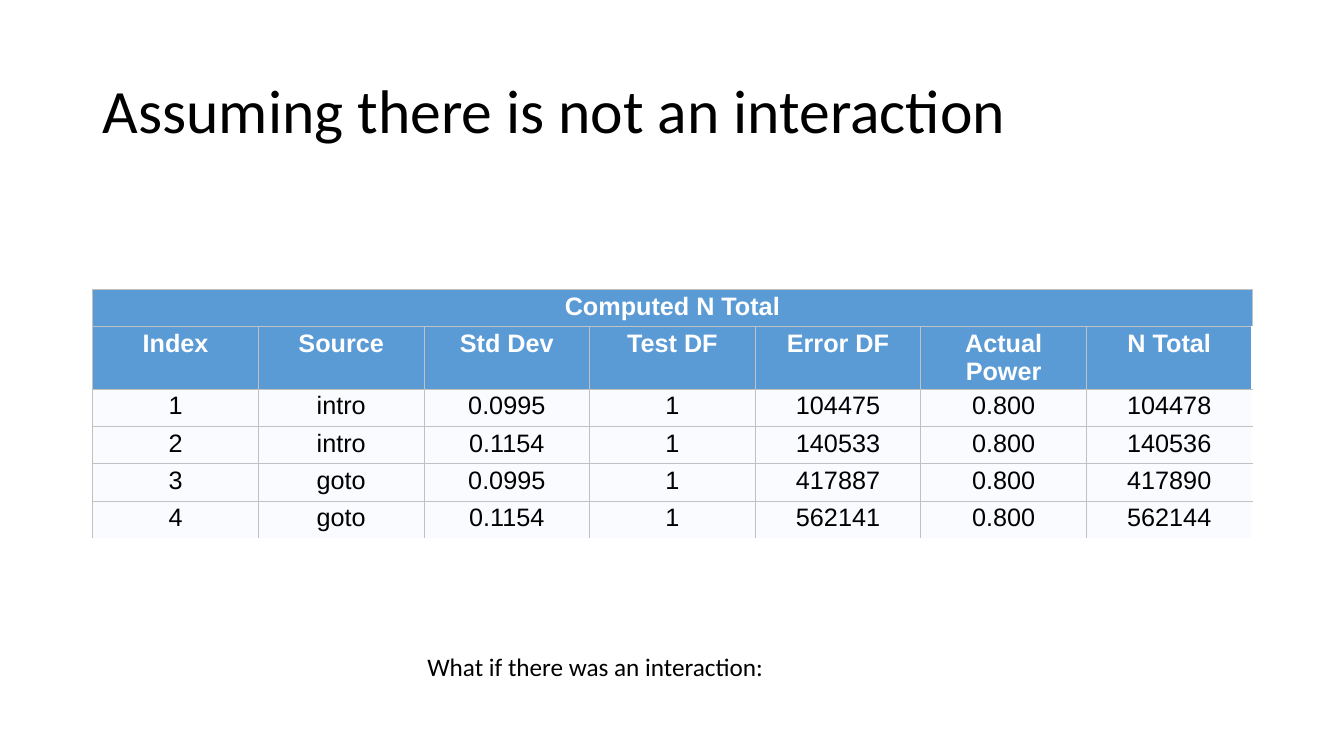
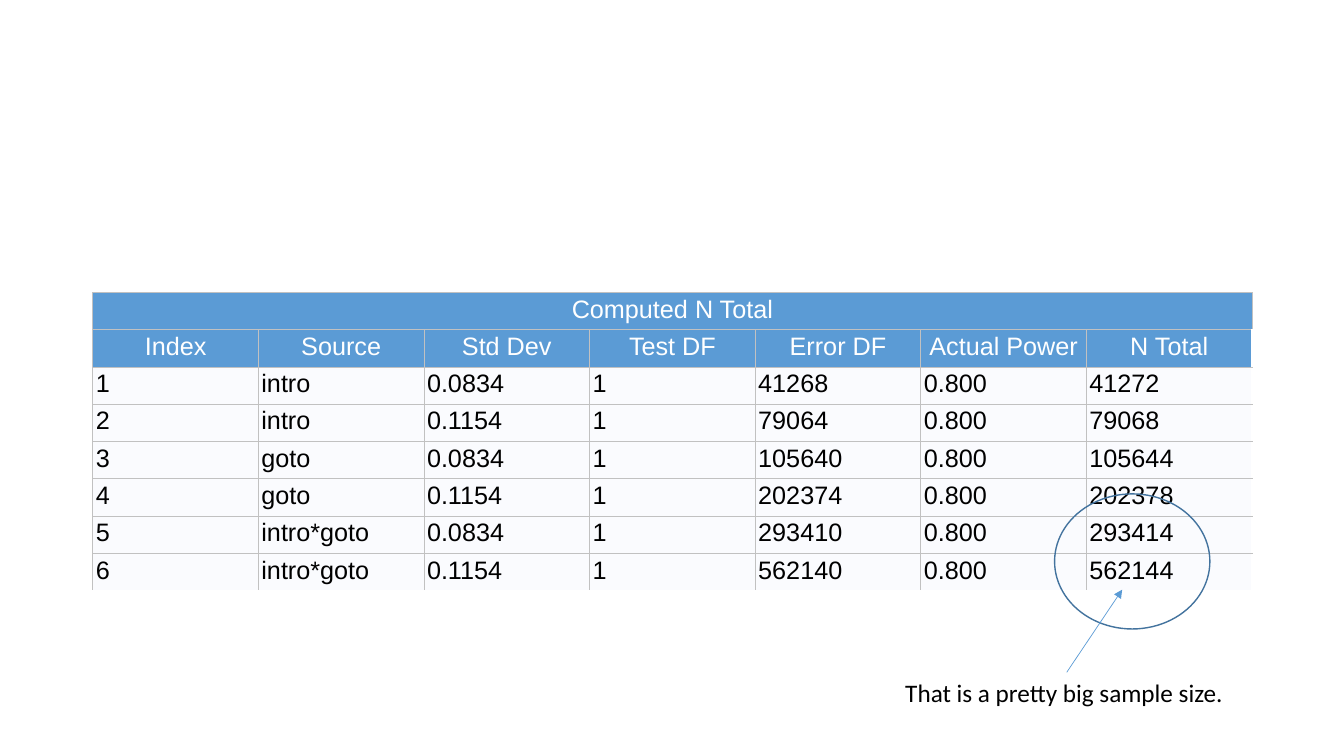
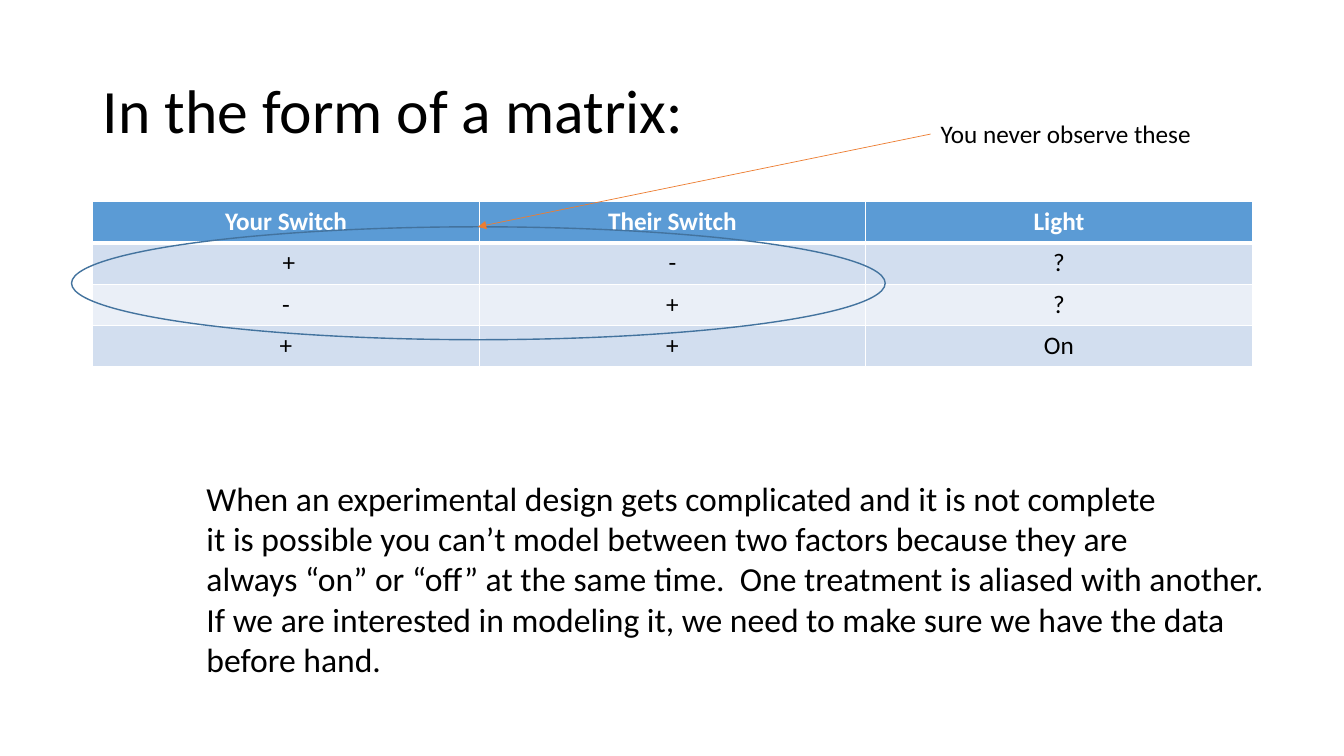
from lxml import etree
from pptx import Presentation
from pptx.dml.color import RGBColor
from pptx.enum.shapes import MSO_CONNECTOR, MSO_SHAPE
from pptx.enum.text import MSO_ANCHOR, MSO_AUTO_SIZE, PP_ALIGN
from pptx.oxml.ns import qn
from pptx.util import Inches, Pt

LEFT, CENTER = PP_ALIGN.LEFT, PP_ALIGN.CENTER
MIDDLE = MSO_ANCHOR.MIDDLE
FIT_SHAPE = MSO_AUTO_SIZE.SHAPE_TO_FIT_TEXT
OVAL = MSO_SHAPE.OVAL
STRAIGHT = MSO_CONNECTOR.STRAIGHT
TITLE_ONLY, BLANK = 5, 6

COLORS = {
    "text": "000000", "white": "FFFFFF", "blue": "5B9BD5", "outline": "43739E",
    "orange": "ED7D31", "grid": "C1C1C1", "pale": "FAFBFE",
    "band_dark": "D2DEEF", "band_light": "EAEFF7",
}
MARGIN, CONTENT_W = 0.92, 11.5


def write(tf, text, size=18, font="Calibri", color="text", bold=False,
          align=LEFT, spacing=None):
    """Fill a text frame with one paragraph per line of text."""
    for i, line in enumerate(text.split("\n")):
        p = tf.paragraphs[0] if i == 0 else tf.add_paragraph()
        p.alignment = align
        p.line_spacing = spacing
        r = p.add_run()
        r.text = line
        r.font.size = Pt(size)
        r.font.name = font
        r.font.bold = bold
        r.font.color.rgb = RGBColor.from_string(COLORS[color])


def add_grid(slide, rows, top, row_h, bands, head_rows=1, head_bold=True,
             body_align=CENTER, font="Calibri", margin=None,
             border="white", width=1, head_rule=1, closed=True):
    """Add a table; an open one has no right or bottom outer border."""
    n_rows, n_cols = len(rows), len(rows[-1])
    table = slide.shapes.add_table(
        n_rows, n_cols, Inches(MARGIN), Inches(top),
        Inches(CONTENT_W), Inches(row_h * n_rows)).table
    for i, row in enumerate(rows):
        table.rows[i].height = Inches(row_h)
        head = i < head_rows
        if len(row) == 1:
            table.cell(i, 0).merge(table.cell(i, n_cols - 1))
        for j in range(n_cols):
            cell = table.cell(i, j)
            if margin is not None:
                cell.margin_left = cell.margin_right = Inches(margin)
                cell.margin_top = cell.margin_bottom = Inches(margin)
            bottom = head_rule if i == head_rows - 1 else width
            widths = {
                "a:lnL": width,
                "a:lnR": width if closed or j < n_cols - 1 else 0,
                "a:lnT": head_rule if i == head_rows else width,
                "a:lnB": bottom if closed or i < n_rows - 1 else 0,
            }
            tc_pr = cell._tc.get_or_add_tcPr()
            for tag, points in widths.items():
                if points:
                    ln = etree.SubElement(tc_pr, qn(tag), w=str(Pt(points)))
                    solid = etree.SubElement(ln, qn("a:solidFill"))
                    etree.SubElement(solid, qn("a:srgbClr"), val=COLORS[border])
            fill = "blue" if head else bands[(i - head_rows) % len(bands)]
            cell.fill.solid()
            cell.fill.fore_color.rgb = RGBColor.from_string(COLORS[fill])
            if j < len(row):
                write(cell.text_frame, row[j], font=font,
                      color="white" if head else "text",
                      bold=head and head_bold,
                      align=CENTER if head else body_align)


prs = Presentation()
prs.slide_width, prs.slide_height = Inches(13.33), Inches(7.5)

# Slides and their titles
slides = []
for title in ("Assuming there is not an interaction", None, "In the form of a matrix:"):
    slide = prs.slides.add_slide(prs.slide_layouts[TITLE_ONLY if title else BLANK])
    slides.append(slide)
    if title:
        sp = slide.shapes.title
        sp.left, sp.top = Inches(MARGIN), Inches(0.4)
        sp.width, sp.height = Inches(CONTENT_W), Inches(1.45)
        sp.text_frame.vertical_anchor = MIDDLE
        write(sp.text_frame, title, size=44, spacing=0.9)
no_interaction, interaction, matrix = slides

# Sample size tables
power_head = [
    ["Computed N Total"],
    ["Index", "Source", "Std Dev", "Test DF", "Error DF", "Actual Power", "N Total"],
]
power_style = dict(row_h=0.37, bands=["pale"], head_rows=2, font="Arial",
                   margin=0.03, border="grid", width=0.5, head_rule=0.5, closed=False)
add_grid(no_interaction, power_head + [
    ["1", "intro", "0.0995", "1", "104475", "0.800", "104478"],
    ["2", "intro", "0.1154", "1", "140533", "0.800", "140536"],
    ["3", "goto", "0.0995", "1", "417887", "0.800", "417890"],
    ["4", "goto", "0.1154", "1", "562141", "0.800", "562144"],
], top=2.87, **power_style)
add_grid(interaction, power_head + [
    ["1", "intro", "0.0834", "1", "41268", "0.800", "41272"],
    ["2", "intro", "0.1154", "1", "79064", "0.800", "79068"],
    ["3", "goto", "0.0834", "1", "105640", "0.800", "105644"],
    ["4", "goto", "0.1154", "1", "202374", "0.800", "202378"],
    ["5", "intro*goto", "0.0834", "1", "293410", "0.800", "293414"],
    ["6", "intro*goto", "0.1154", "1", "562140", "0.800", "562144"],
], top=2.9, head_bold=False, body_align=LEFT, **power_style)

# Switch matrix
add_grid(matrix, [
    ["Your Switch", "Their Switch", "Light"],
    [" +", "-", "?"],
    ["-", "+", "?"],
    ["+", "+", "On"],
], top=2, row_h=0.41, bands=["band_dark", "band_light"], head_rule=3)

# Ellipses around the values that the notes speak of
for slide, box in ((interaction, (10.46, 4.9, 1.54, 1.34)),
                   (matrix, (0.71, 2.25, 8.07, 1.12))):
    sp = slide.shapes.add_shape(OVAL, *map(Inches, box))
    sp.shadow.inherit = False
    sp.fill.background()
    sp.line.color.rgb = RGBColor.from_string(COLORS["outline"])
    sp.line.width = Pt(1)

# Notes
aliasing = """When an experimental design gets complicated and it is not complete
it is possible you can’t model between two factors because they are
always “on” or “off” at the same time.  One treatment is aliased with another.
If we are interested in modeling it, we need to make sure we have the data
before hand."""
for slide, text, size, box in (
    (no_interaction, "What if there was an interaction:", 18, (4.14, 6.41, 3.63, 0.4)),
    (interaction, "That is a pretty big sample size.", 18, (8.88, 6.67, 3.39, 0.4)),
    (matrix, aliasing, 24, (1.95, 4.69, 10.86, 2.12)),
    (matrix, "You never observe these", 18, (9.23, 1.12, 2.71, 0.4)),
):
    tf = slide.shapes.add_textbox(*map(Inches, box)).text_frame
    tf.word_wrap = False
    tf.auto_size = FIT_SHAPE
    write(tf, text, size=size)

# Arrows from the notes to the ellipses
for slide, ends, color in ((interaction, (10.58, 6.67, 11.13, 5.85), "blue"),
                           (matrix, (9.23, 1.33, 4.74, 2.25), "orange")):
    arrow = slide.shapes.add_connector(STRAIGHT, *map(Inches, ends))
    arrow.line.color.rgb = RGBColor.from_string(COLORS[color])
    arrow.line.width = Pt(0.5)
    etree.SubElement(arrow.line._get_or_add_ln(), qn("a:tailEnd"), type="triangle")
    etree.SubElement(arrow._element.spPr, qn("a:effectLst"))

prs.save("out.pptx")
